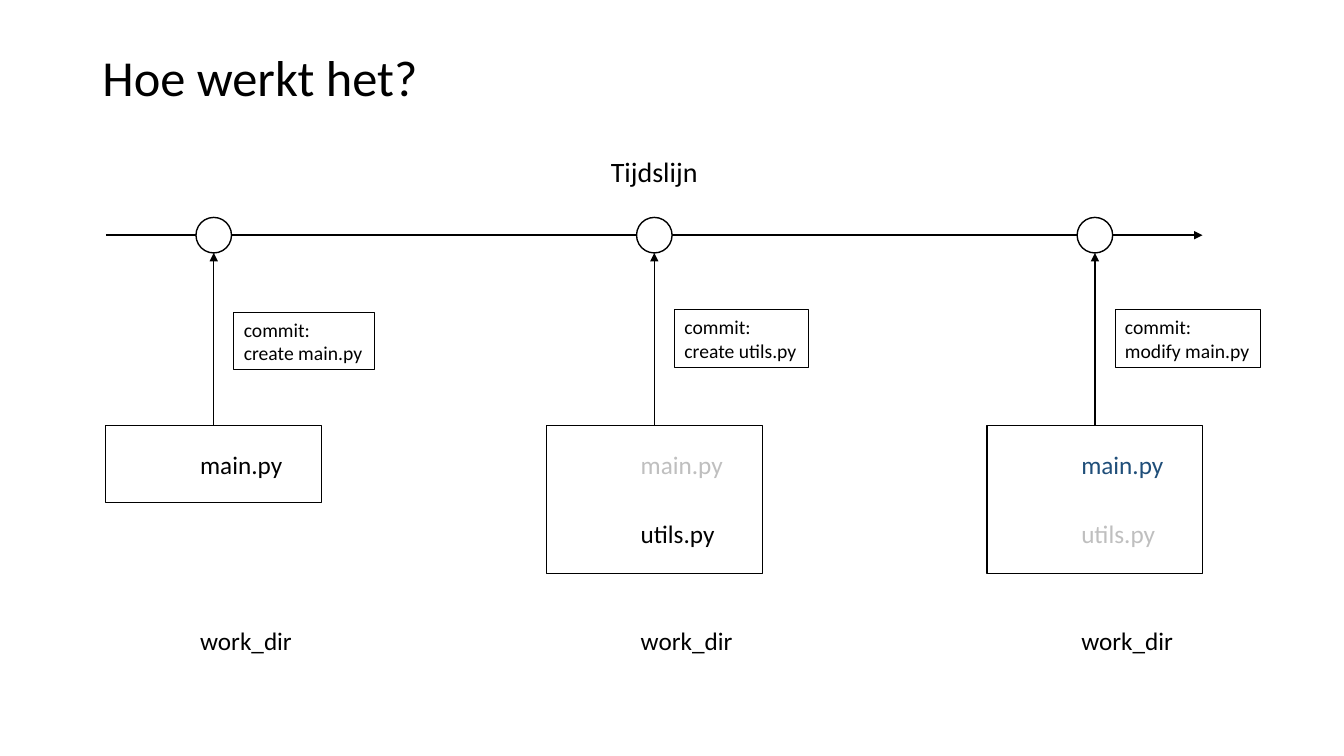
from dataclasses import dataclass

from lxml.etree import SubElement
from pptx import Presentation
from pptx.dml.color import RGBColor
from pptx.enum.shapes import MSO_CONNECTOR, MSO_SHAPE
from pptx.enum.text import MSO_ANCHOR, PP_ALIGN
from pptx.oxml.ns import qn
from pptx.util import Pt


@dataclass(frozen=True)
class Theme:
    font: str = "Calibri"
    black: RGBColor = RGBColor(0x00, 0x00, 0x00)
    white: RGBColor = RGBColor(0xFF, 0xFF, 0xFF)
    unchanged: RGBColor = RGBColor(0xBF, 0xBF, 0xBF)
    modified: RGBColor = RGBColor(0x1F, 0x4E, 0x79)
    title_size: int = 36
    timeline_size: int = 20
    file_size: int = 18
    commit_size: int = 14


theme = Theme()


def write(shape, text, size, color=theme.black, align=PP_ALIGN.LEFT, wrap=False):
    text_frame = shape.text_frame
    text_frame.text = text
    text_frame.word_wrap = wrap
    for paragraph in text_frame.paragraphs:
        paragraph.alignment = align
        for run in paragraph.runs:
            run.font.name = theme.font
            run.font.size = Pt(size)
            run.font.color.rgb = color


def add_arrow(shapes, start_x, start_y, end_x, end_y, weight):
    arrow = shapes.add_connector(
        MSO_CONNECTOR.STRAIGHT, Pt(start_x), Pt(start_y), Pt(end_x), Pt(end_y)
    )
    arrow.line.color.rgb = theme.black
    arrow.line.width = Pt(weight)
    SubElement(arrow.line._get_or_add_ln(), qn("a:tailEnd"), type="triangle")
    SubElement(arrow._element.spPr, qn("a:effectLst"))


presentation = Presentation()
presentation.slide_width = Pt(960)
presentation.slide_height = Pt(540)
slide = presentation.slides.add_slide(presentation.slide_layouts[5])
shapes = slide.shapes

title = shapes.title
title.left, title.top, title.width, title.height = Pt(66), Pt(28.8), Pt(828), Pt(57)
write(title, "Hoe werkt het?", theme.title_size, wrap=True)
title.text_frame.vertical_anchor = MSO_ANCHOR.MIDDLE
title.text_frame.paragraphs[0].line_spacing = 0.9

timeline_left, timeline_right, timeline_y = 75.6, 859, 168
add_arrow(shapes, timeline_left, timeline_y, timeline_right, timeline_y, 1.5)
timeline_label = shapes.add_textbox(
    Pt(timeline_left), Pt(106.6), Pt(timeline_right - timeline_left), Pt(31.5)
)
write(timeline_label, "Tijdslijn", theme.timeline_size, align=PP_ALIGN.CENTER, wrap=True)

commit_step = 314.7
directory_top, directory_width = 303.8, 154.2
file_top, file_step, file_offset = 317.6, 49.2, 60.3
label_height = 29
circle_size = 25.4

commits = [
    ("create main.py", 100.4, 223, 55, [("main.py", theme.black)]),
    ("create utils.py", 95.6, 221.3, 106,
     [("main.py", theme.unchanged), ("utils.py", theme.black)]),
    ("modify main.py", 103.7, 221.3, 106,
     [("main.py", theme.modified), ("utils.py", theme.unchanged)]),
]

for index, (message, message_width, message_top, directory_height, files) in enumerate(commits):
    left = timeline_left + index * commit_step
    center = left + directory_width / 2
    label_left = left + file_offset

    directory = shapes.add_shape(
        MSO_SHAPE.RECTANGLE, Pt(left), Pt(directory_top), Pt(directory_width), Pt(directory_height)
    )
    directory.fill.background()
    circle = shapes.add_shape(
        MSO_SHAPE.OVAL, Pt(center - circle_size / 2), Pt(timeline_y - circle_size / 2),
        Pt(circle_size), Pt(circle_size)
    )
    circle.fill.solid()
    circle.fill.fore_color.rgb = theme.white
    message_box = shapes.add_shape(
        MSO_SHAPE.RECTANGLE, Pt(center + 14.4), Pt(message_top), Pt(message_width), Pt(41.2)
    )
    message_box.fill.background()
    write(message_box, f"commit:\n{message}", theme.commit_size)
    for shape, weight in ((directory, 1), (circle, 1), (message_box, 0.75)):
        shape.line.color.rgb = theme.black
        shape.line.width = Pt(weight)
        shape.shadow.inherit = False

    add_arrow(shapes, center, directory_top, center, timeline_y + circle_size / 2, 1)

    for row, (name, color) in enumerate(files):
        file_label = shapes.add_textbox(
            Pt(label_left), Pt(file_top + row * file_step), Pt(75), Pt(label_height)
        )
        write(file_label, name, theme.file_size, color)

    directory_label = shapes.add_textbox(Pt(label_left), Pt(443), Pt(80.6), Pt(label_height))
    write(directory_label, "work_dir", theme.file_size)

presentation.save("out.pptx")
